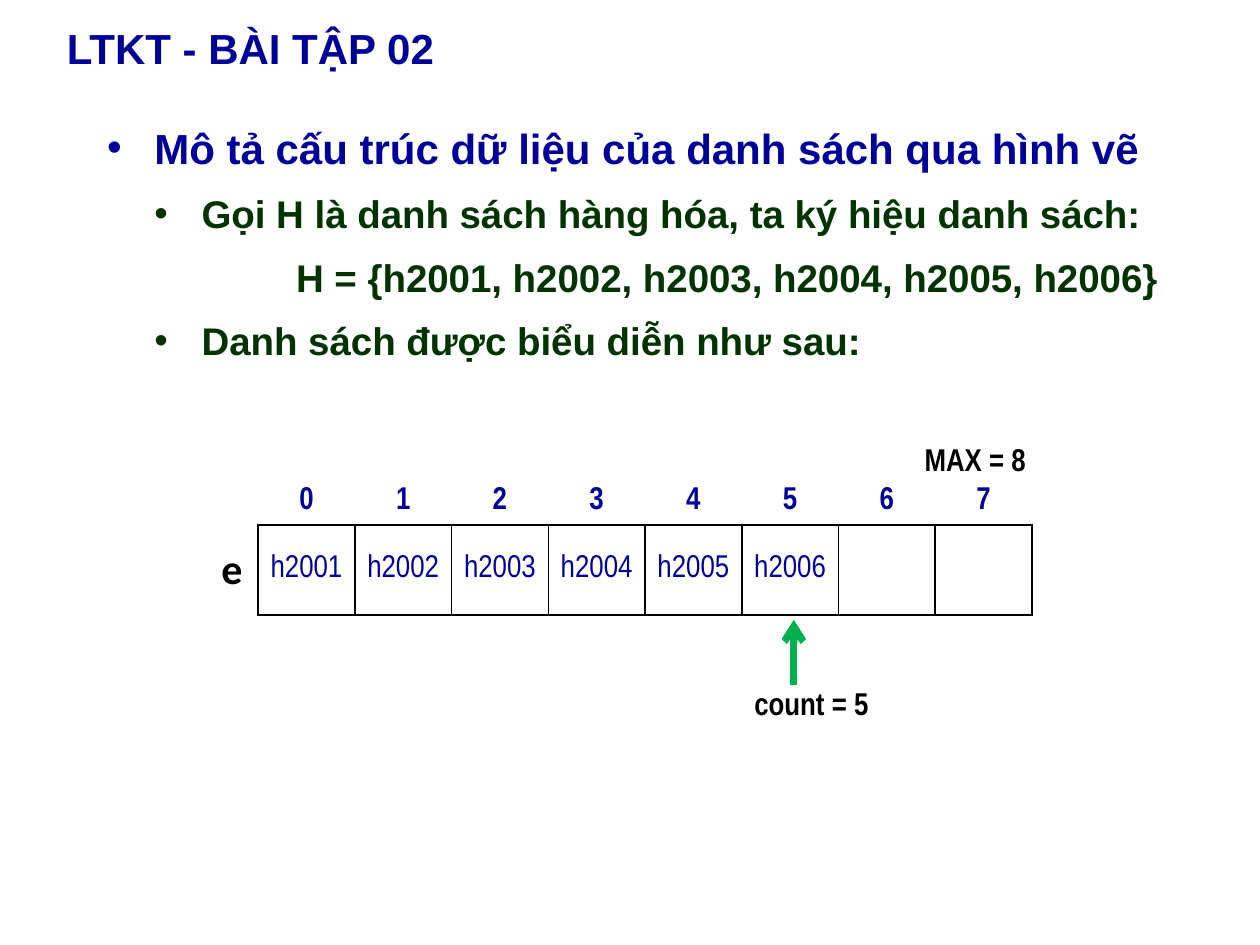
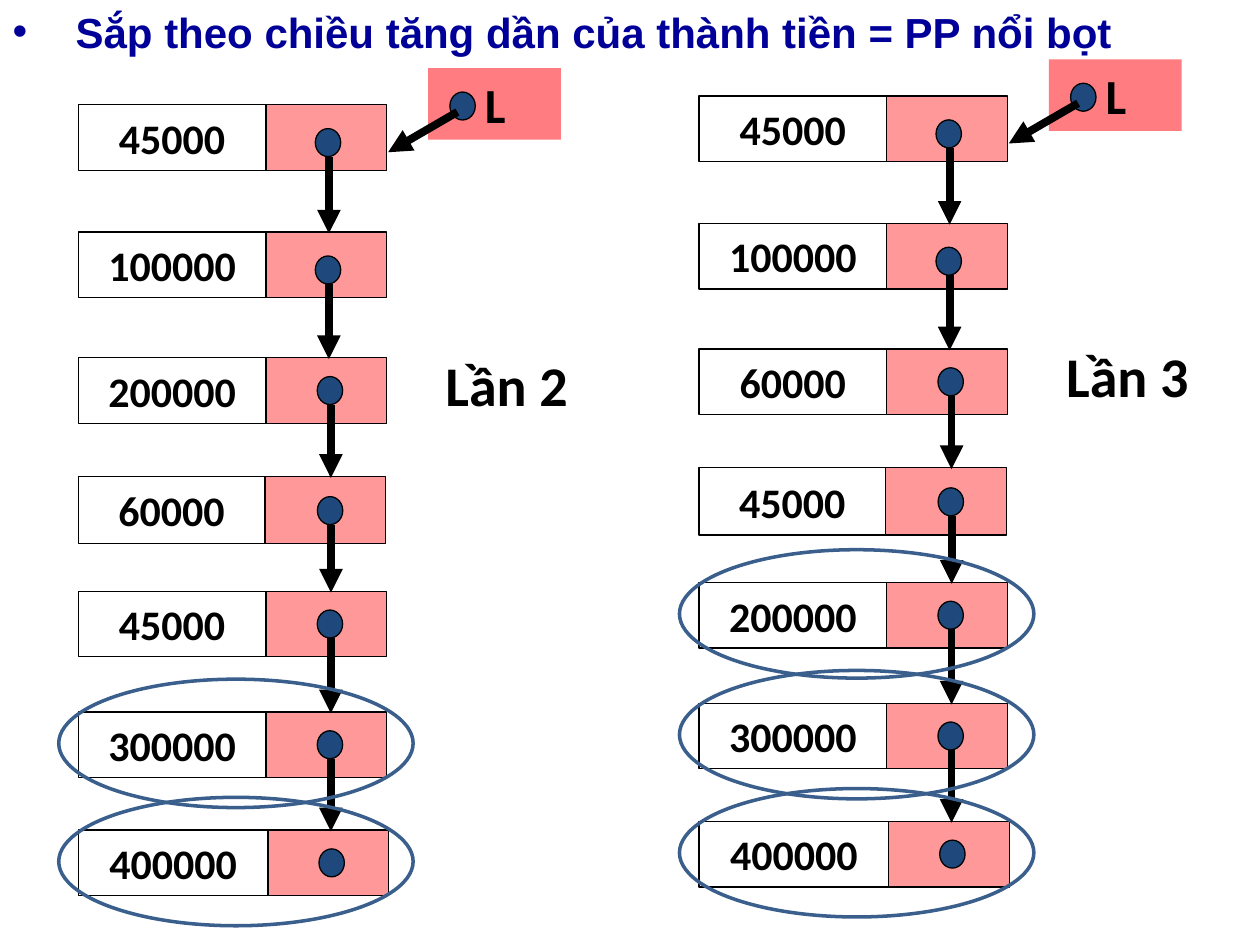
from lxml.etree import SubElement
from pptx import Presentation
from pptx.dml.color import RGBColor
from pptx.enum.shapes import MSO_CONNECTOR, MSO_SHAPE
from pptx.enum.text import MSO_ANCHOR as Anchor, MSO_AUTO_SIZE as AutoSize, PP_ALIGN as Align
from pptx.oxml.ns import qn
from pptx.util import Pt

NAVY = RGBColor(0x00, 0x00, 0x99)
DARK_GREEN = RGBColor(0x00, 0x33, 0x00)
ARROW_GREEN = RGBColor(0x00, 0xB0, 0x50)
BLACK = RGBColor(0, 0, 0)
WHITE = RGBColor(0xFF, 0xFF, 0xFF)
RED = RGBColor(0xFF, 0, 0)
HEAD_PINK = RGBColor(0xFF, 0x7C, 0x80)
DOT_BLUE = RGBColor(0x1F, 0x49, 0x7D)
OVAL_BLUE = RGBColor(0x3A, 0x5F, 0x8C)

ARRAY_TITLE = "LTKT - BÀI TẬP 02"
# text, level, size, colour, left margin, hanging indent, bullet
ARRAY_LINES = [
    ("Mô tả cấu trúc dữ liệu của danh sách qua hình vẽ", 0, 24, NAVY, 27, -27, "•"),
    ("Gọi H là danh sách hàng hóa, ta ký hiệu danh sách:", 1, 22, DARK_GREEN, 54, -27, "•"),
    ("H = {h2001, h2002, h2003, h2004, h2005, h2006}", 1, 22, DARK_GREEN, 108, 0, None),
    ("Danh sách được biểu diễn như sau:", 1, 22, DARK_GREEN, 54, -27, "•"),
]
ARRAY_ITEMS = ["h2001", "h2002", "h2003", "h2004", "h2005", "h2006", "", ""]
# text, box, font, size
ARRAY_LABELS = [
    ("e", (119.5, 306.7, 30, 36), "Calibri", 24),
    ("MAX = 8", (521.3, 247.7, 80, 29), "Arial Narrow", 18),
    ("count = 5", (424, 387.4, 98, 29), "Arial Narrow", 18),
]

SORT_TITLE = "Sắp theo chiều tăng dần của thành tiền = PP nổi bọt"
# label, values from head to tail, sorted nodes at the tail, left, shift down
SORT_PASSES = [
    ("Lần 2", [45000, 100000, 200000, 60000, 45000, 300000, 400000], 2, 44.8, 0),
    ("Lần 3", [45000, 100000, 60000, 45000, 200000, 300000, 400000], 3, 399.5, -5),
]
# top, value width, height, dot offset from the left and from the top
NODES = [
    (59.8, 107.2, 37.5, 135.4, 13.7),
    (132.6, 107.2, 37.5, 135.4, 13.7),
    (204.4, 107.2, 37.5, 136.5, 10.8),
    (272.3, 106.7, 38.5, 136.6, 11.5),
    (337.8, 107.2, 37.5, 136.5, 10.8),
    (406.8, 107.2, 37.5, 136.5, 10.8),
    (474.3, 108.4, 37.5, 137.5, 10.8),
]
POINTER_WIDTH = 69
DOT_WIDTH, DOT_HEIGHT = 14.5, 16


def place(shape, box):
    shape.left, shape.top, shape.width, shape.height = map(Pt, box)


def style_text(paragraph, font, size, colour, align=Align.LEFT):
    paragraph.alignment = align
    for span in paragraph.runs:
        span.font.name, span.font.size, span.font.bold = font, Pt(size), True
        span.font.color.rgb = colour


def set_bullet(paragraph, margin, indent, bullet):
    properties = paragraph._p.get_or_add_pPr()
    properties.set("marL", str(Pt(margin)))
    properties.set("indent", str(Pt(indent)))
    if bullet:
        SubElement(properties, qn("a:buFont"), typeface="Arial")
        SubElement(properties, qn("a:buChar"), char=bullet)
    else:
        SubElement(properties, qn("a:buNone"))


def fill_placeholder(shape, box):
    place(shape, box)
    frame = shape.text_frame
    frame.word_wrap = True
    frame.auto_size = AutoSize.NONE
    frame.vertical_anchor = Anchor.TOP
    return frame


def add_title(slide, text, left, top):
    frame = fill_placeholder(slide.shapes.title, (left, top, 663, 45.4))
    frame.text = text
    style_text(frame.paragraphs[0], "Arial", 24, NAVY, Align.JUSTIFY)
    return frame.paragraphs[0]


def add_label(slide, text, box, font, size):
    label = slide.shapes.add_textbox(*map(Pt, box))
    label.text_frame.word_wrap = True
    label.text_frame.text = text
    style_text(label.text_frame.paragraphs[0], font, size, BLACK)


def add_preset(shapes, kind, box, fill=None, line=BLACK, width=0.75, opacity=None):
    shape = shapes.add_shape(kind, *map(Pt, box))
    shape.shadow.inherit = False
    if fill is None:
        shape.fill.background()
    else:
        shape.fill.solid()
        shape.fill.fore_color.rgb = fill
    if opacity:
        colour = shape.element.spPr.find(qn("a:solidFill"))[0]
        SubElement(colour, qn("a:alpha"), val=str(opacity * 1000))
    if line is None:
        shape.line.fill.background()
    else:
        shape.line.color.rgb = line
        shape.line.width = Pt(width)
    return shape


def write_in(shape, text, size, align):
    frame = shape.text_frame
    frame.text = text
    frame.vertical_anchor = Anchor.MIDDLE
    style_text(frame.paragraphs[0], "Calibri", size, BLACK, align)


def add_arrow(shapes, start, end, colour, width, head):
    arrow = shapes.add_connector(MSO_CONNECTOR.STRAIGHT, *map(Pt, start + end))
    arrow.line.color.rgb = colour
    arrow.line.width = Pt(width)
    properties = arrow.element.spPr
    SubElement(properties.find(qn("a:ln")), qn("a:tailEnd"), type=head)
    SubElement(properties, qn("a:effectLst"))


def add_dot(shapes, left, top):
    add_preset(shapes, MSO_SHAPE.OVAL, (left, top, DOT_WIDTH, DOT_HEIGHT), DOT_BLUE)


def add_border(cell):
    properties = cell._tc.get_or_add_tcPr()
    for position, side in enumerate(("a:lnL", "a:lnR", "a:lnT", "a:lnB")):
        line = properties.makeelement(qn(side), {"w": str(Pt(1))})
        SubElement(SubElement(line, qn("a:solidFill")), qn("a:srgbClr"), val=str(BLACK))
        properties.insert(position, line)


def add_array_table(slide):
    count = len(ARRAY_ITEMS)
    frame = slide.shapes.add_table(2, count, Pt(147.5), Pt(272.7), Pt(442.4), Pt(78.7))
    table = frame.table
    table.first_row = table.horz_banding = False
    table.rows[0].height, table.rows[1].height = Pt(27.2), Pt(51.5)
    for column, item in enumerate(ARRAY_ITEMS):
        table.columns[column].width = Pt(442.4 / count)
        for row, text in enumerate((str(column), item)):
            cell = table.cell(row, column)
            cell.fill.solid()
            cell.fill.fore_color.rgb = WHITE
            cell.vertical_anchor = Anchor.MIDDLE
            cell.margin_left = cell.margin_right = Pt(5)
            cell.margin_top = cell.margin_bottom = Pt(3)
            cell.text = text
            paragraph = cell.text_frame.paragraphs[0]
            style_text(paragraph, "Arial Narrow", 18, NAVY, Align.CENTER)
            if row == 1:
                for span in paragraph.runs:
                    span.font.bold = False
                add_border(cell)


def build_array_slide(deck):
    slide = deck.slides.add_slide(deck.slide_layouts[1])
    add_title(slide, ARRAY_TITLE, 31, 9.4)
    frame = fill_placeholder(slide.placeholders[1], (54, 66.2, 629.3, 153.4))
    frame.text = "\n".join(line[0] for line in ARRAY_LINES)
    for paragraph, line in zip(frame.paragraphs, ARRAY_LINES):
        _, level, size, colour, margin, indent, bullet = line
        paragraph.level = level
        paragraph.space_before = Pt(10)
        style_text(paragraph, "Arial", size, colour, Align.JUSTIFY)
        set_bullet(paragraph, margin, indent, bullet)
    add_array_table(slide)
    for label in ARRAY_LABELS:
        add_label(slide, *label)
    add_arrow(slide.shapes, (453.6, 391.7), (453.6, 354.2), ARROW_GREEN, 4, "arrow")


def add_linked_list(slide, values, left, shift):
    shapes = slide.shapes.add_group_shape().shapes
    for value, (top, width, height, dot_x, dot_y) in zip(values, NODES):
        top += shift
        value_cell = add_preset(shapes, MSO_SHAPE.RECTANGLE, (left, top, width, height),
                                WHITE, opacity=38)
        write_in(value_cell, str(value), 24, Align.CENTER)
        add_preset(shapes, MSO_SHAPE.RECTANGLE, (left + width, top, POINTER_WIDTH, height),
                   RED, opacity=40)
        add_dot(shapes, left + dot_x, top + dot_y)
    for (top, _, _, dot_x, dot_y), following in zip(NODES, NODES[1:]):
        x = left + dot_x + DOT_WIDTH / 2 + 0.5
        add_arrow(shapes, (x, top + shift + dot_y + DOT_HEIGHT), (x, following[0] + shift + 0.8),
                  BLACK, 4.5, "triangle")
    head = add_preset(shapes, MSO_SHAPE.RECTANGLE, (left + 199.8, 38.9 + shift, 76, 41),
                      HEAD_PINK, line=None)
    head.text_frame.margin_left = Pt(32.5)
    write_in(head, "L", 28, Align.LEFT)
    add_dot(shapes, left + 212.3, 52.6 + shift)
    add_arrow(shapes, (left + 216.6, 64 + shift), (left + 177, 87 + shift),
              BLACK, 4.5, "triangle")


def build_sort_slide(deck):
    slide = deck.slides.add_slide(deck.slide_layouts[5])
    set_bullet(add_title(slide, SORT_TITLE, 0, 0), 36, -36, "•")
    for label, values, sorted_count, left, shift in SORT_PASSES:
        add_linked_list(slide, values, left, shift)
        add_label(slide, label, (left + 202.7, 196.6 + shift, 92, 46), "Calibri", 32)
        for node in NODES[-sorted_count:]:
            add_preset(slide.shapes, MSO_SHAPE.OVAL,
                       (left - 11.2, node[0] + shift - 18.7, 202.5, 73.4),
                       line=OVAL_BLUE, width=2)


def main():
    deck = Presentation()
    deck.slide_width, deck.slide_height = Pt(720), Pt(540)
    build_array_slide(deck)
    build_sort_slide(deck)
    deck.save("out.pptx")


if __name__ == "__main__":
    main()
